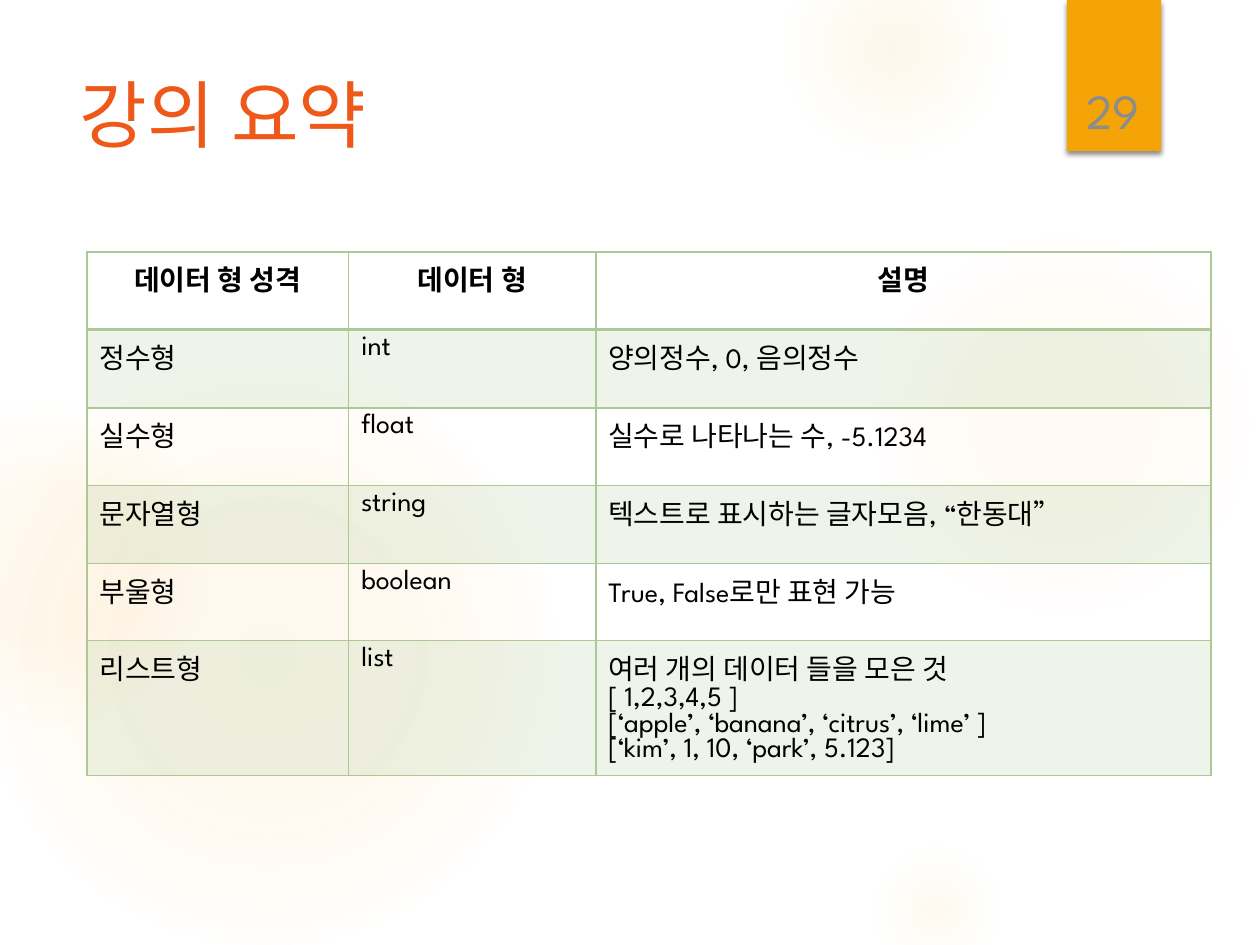
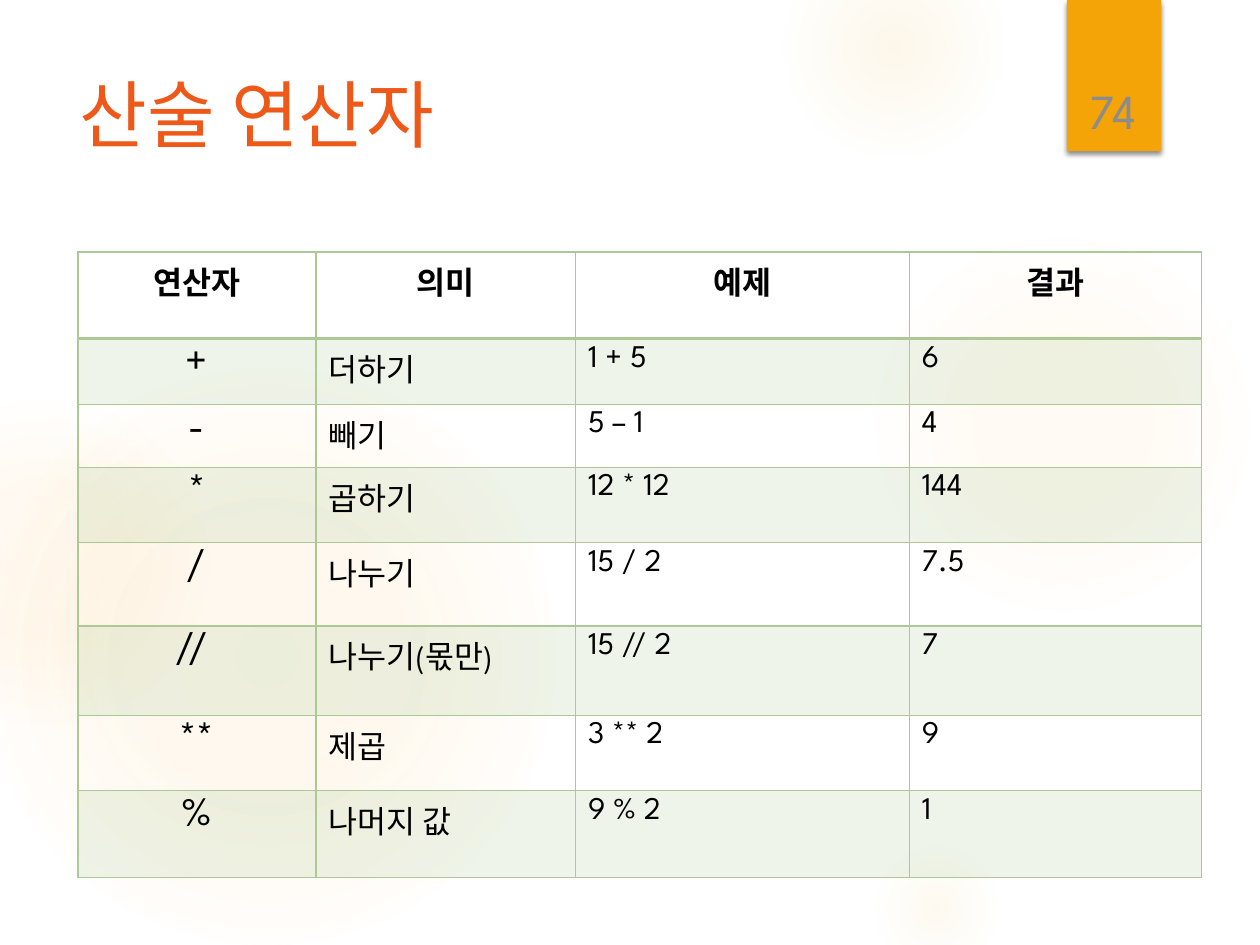
"""Build two lecture slides with tables of Python data types and arithmetic operators."""
from lxml.etree import SubElement
from pptx import Presentation
from pptx.dml.color import RGBColor
from pptx.enum.shapes import MSO_SHAPE
from pptx.enum.text import MSO_ANCHOR, MSO_AUTO_SIZE, PP_ALIGN
from pptx.oxml import parse_xml
from pptx.oxml.ns import nsdecls, qn
from pptx.util import Cm, Pt

LATIN_FONT = "League Spartan"
KOREAN_FONT = "Noto Sans CJK KR"
ORANGE, AMBER, GLOW = "EE5818", "F5A408", "FAC96A"
GREEN, GRAY, BLACK = "ACC995", "8C8C8C", "000000"

GLOWS = [
    (17.5, 4.65, 7.82, [(0, 7), (36, 6), (69, 0)]),
    (15.8, -1.27, 4.45, [(0, 14), (36, 7), (73, 0)]),
    (17.5, 16.94, 2.74, [(0, 10), (31, 5), (66, 0)]),
    (-0.43, 7.42, 11.63, [(0, 11), (36, 10), (75, 0)]),
    (-2.34, 8.05, 6.55, [(0, 8), (36, 8), (72, 0)]),
]

PAGES = [
    {
        "title": "강의 요약",
        "number": "29",
        "left": 1.75,
        "columns": [5.28, 4.98, 12.4],
        "heights": [1.57, 1.57, 1.57, 1.57, 1.55, 2.72],
        "size": 16,
        "symbol_size": None,
        "rows": [
            ["데이터 형 성격", "데이터 형", "설명"],
            ["정수형", "int", "양의정수, 0, 음의정수"],
            ["실수형", "float", "실수로 나타나는 수, -5.1234"],
            ["문자열형", "string", "텍스트로 표시하는 글자모음, “한동대”"],
            ["부울형", "boolean", "True, False로만 표현 가능"],
            ["리스트형", "list", "여러 개의 데이터 들을 모은 것\n[ 1,2,3,4,5 ]\n"
             "[‘apple’, ‘banana’, ‘citrus’, ‘lime’ ]\n[‘kim’, 1, 10, ‘park’, 5.123]"],
        ],
    },
    {
        "title": "산술 연산자",
        "number": "74",
        "left": 1.57,
        "columns": [4.8, 5.23, 6.73, 5.89],
        "heights": [1.75, 1.32, 1.27, 1.52, 1.68, 1.8, 1.52, 1.75],
        "size": 18,
        "symbol_size": 24,
        "rows": [
            ["연산자", "의미", "예제", "결과"],
            ["+", "더하기", "1 + 5", "6"],
            ["-", "빼기", "5 – 1", "4"],
            ["*", "곱하기", "12 * 12", "144"],
            ["/", "나누기", "15 / 2", "7.5"],
            ["// ", "나누기(몫만)", "15 // 2", "7"],
            ["**", "제곱", "3 ** 2", "9"],
            ["%", "나머지 값", "9 % 2", "1"],
        ],
    },
]


def paint(fill, color, opacity=100):
    fill.solid()
    fill.fore_color.rgb = RGBColor.from_string(color)
    if opacity < 100:
        tint = fill._xPr.find(qn("a:solidFill"))[0]
        SubElement(tint, qn("a:alpha"), val=str(opacity * 1000))


def write(frame, text, size, color=BLACK, font=LATIN_FONT, bold=False, align=PP_ALIGN.LEFT):
    for index, line in enumerate(text.split("\n")):
        para = frame.add_paragraph() if index else frame.paragraphs[0]
        para.alignment = align
        span = para.add_run()
        span.text = line
        span.font.size = Pt(size)
        span.font.bold = bold
        span.font.name = font
        paint(span.font.fill, color)
        SubElement(span._r.get_or_add_rPr(), qn("a:ea"), typeface=KOREAN_FONT)


deck = Presentation()
deck.slide_width, deck.slide_height = Cm(25.4), Cm(19.05)
pages = [deck.slides.add_slide(deck.slide_layouts[5]) for _ in PAGES]
master_tree = deck.slide_master.shapes.element

for left, top, diameter, stops in GLOWS:
    glow = pages[0].shapes.add_shape(
        MSO_SHAPE.OVAL, Cm(left), Cm(top), Cm(diameter), Cm(diameter))
    glow.shadow.inherit = False
    glow.line.fill.background()
    stop_xml = "".join(
        f'<a:gs pos="{position * 1000}"><a:srgbClr val="{GLOW}">'
        f'<a:alpha val="{opacity * 1000}"/></a:srgbClr></a:gs>'
        for position, opacity in stops)
    glow.element.spPr.insert(2, parse_xml(
        f'<a:gradFill {nsdecls("a")}><a:gsLst>{stop_xml}</a:gsLst><a:path path="circle">'
        '<a:fillToRect l="50000" t="50000" r="50000" b="50000"/></a:path></a:gradFill>'))
    master_tree.append(glow.element)

ribbon = pages[0].shapes.add_shape(MSO_SHAPE.RECTANGLE, Cm(21.51), 0, Cm(1.9), Cm(3.05))
ribbon.shadow.inherit = False
ribbon.line.fill.background()
paint(ribbon.fill, AMBER)
ribbon.element.spPr.find(qn("a:effectLst")).append(parse_xml(
    f'<a:outerShdw {nsdecls("a")} blurRad="{Pt(3)}" dist="{Pt(2)}" dir="5400000" rotWithShape="0">'
    f'<a:srgbClr val="{BLACK}"><a:alpha val="45000"/></a:srgbClr></a:outerShdw>'))
master_tree.append(ribbon.element)

for page, content in zip(pages, PAGES):
    title = page.shapes.title
    title.left, title.top, title.width, title.height = Cm(1.35), Cm(1.27), Cm(19.61), Cm(3.89)
    title.text_frame.auto_size = MSO_AUTO_SIZE.NONE
    title.text_frame.vertical_anchor = MSO_ANCHOR.TOP
    write(title.text_frame, content["title"], 42, color=ORANGE, font=KOREAN_FONT)

    rows, columns, heights = content["rows"], content["columns"], content["heights"]
    table = page.shapes.add_table(
        len(rows), len(columns), Cm(content["left"]), Cm(5.08),
        Cm(sum(columns)), Cm(sum(heights))).table
    table.first_row = table.horz_banding = False
    for column, width in zip(table.columns, columns):
        column.width = Cm(width)

    for row_index, (row, height) in enumerate(zip(rows, heights)):
        table.rows[row_index].height = Cm(height)
        header = row_index == 0
        for column_index, text in enumerate(row):
            cell = table.cell(row_index, column_index)
            symbol = content["symbol_size"] and column_index == 0 and not header
            write(cell.text_frame, text,
                  content["symbol_size"] if symbol else content["size"], bold=header,
                  align=PP_ALIGN.CENTER if header or symbol else PP_ALIGN.LEFT)
            if row_index % 2:
                paint(cell.fill, GREEN, opacity=20)
            else:
                cell.fill.background()
            for position, side in enumerate(["lnL", "lnR", "lnT", "lnB"]):
                heavy = (row_index, side) in [(0, "lnB"), (1, "lnT")]
                cell._tc.tcPr.insert(position, parse_xml(
                    f'<a:{side} {nsdecls("a")} w="{Pt(2 if heavy else 1)}">'
                    f'<a:solidFill><a:srgbClr val="{GREEN}"/></a:solidFill></a:{side}>'))

    number_box = page.shapes.add_textbox(Cm(21.56), Cm(0.81), Cm(1.75), Cm(2.13))
    number_box.text_frame.word_wrap = True
    number_box.text_frame.vertical_anchor = MSO_ANCHOR.BOTTOM
    write(number_box.text_frame, content["number"], 28, color=GRAY, align=PP_ALIGN.CENTER)

deck.save("out.pptx")
